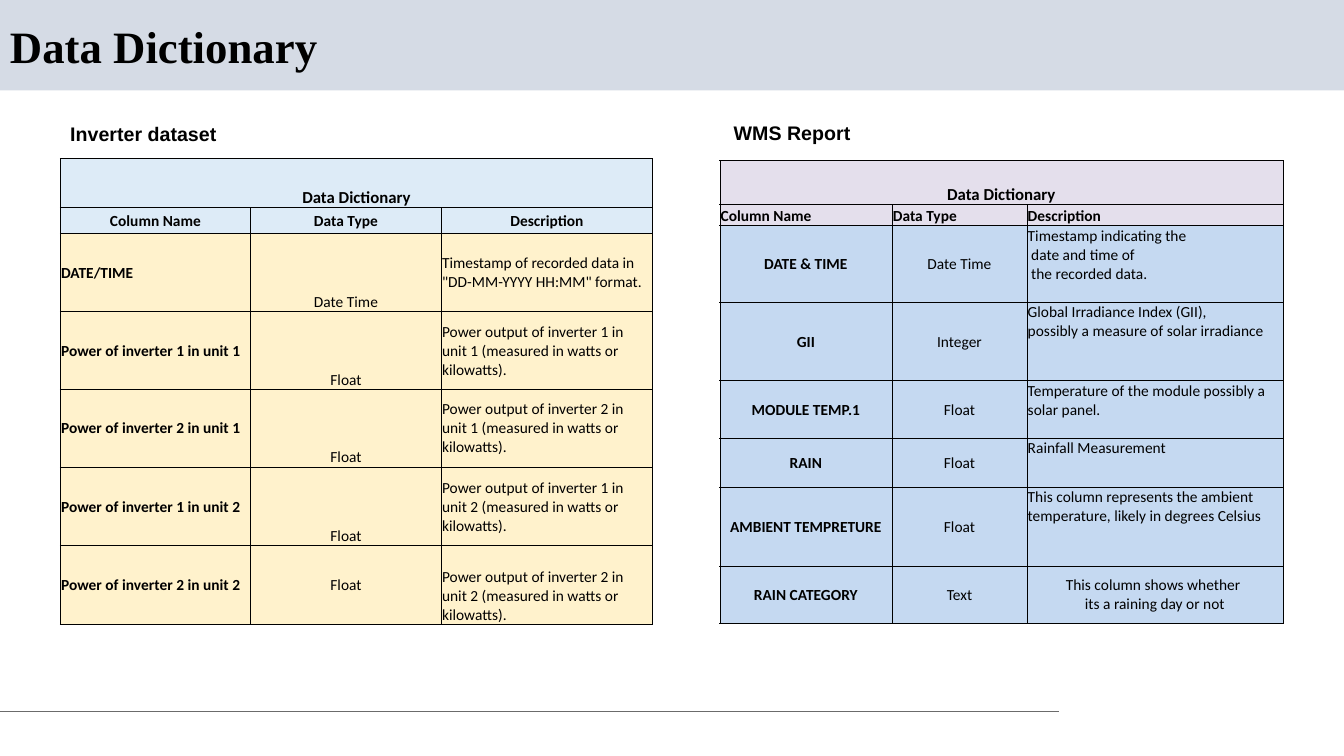
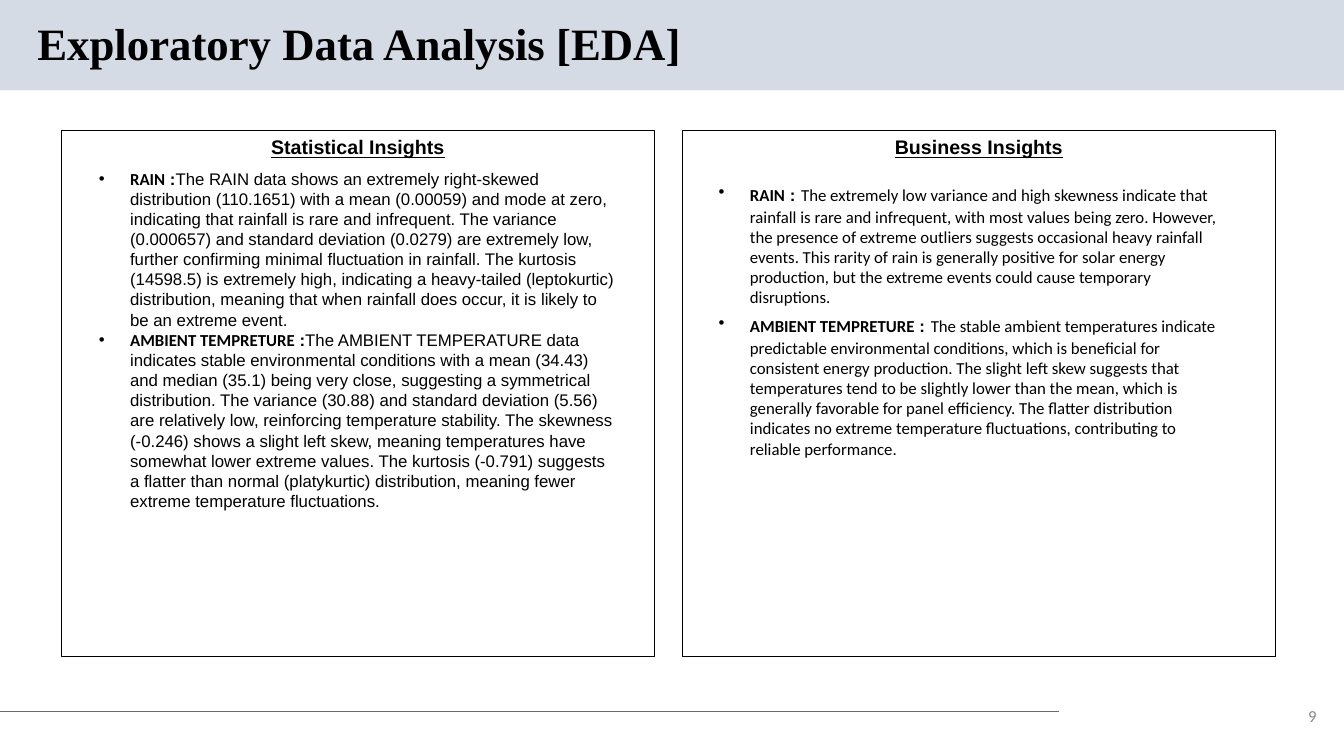
from lxml.etree import SubElement
from pptx import Presentation
from pptx.dml.color import RGBColor
from pptx.enum.shapes import MSO_CONNECTOR, MSO_SHAPE
from pptx.enum.text import MSO_ANCHOR, PP_ALIGN
from pptx.oxml.ns import qn
from pptx.util import Cm, Pt

SANS, SERIF, BODY = "Arial", "Times New Roman", "Calibri"
BLACK, GREY, BAND, RULE = "000000", "888888", "D5DBE5", "6B6B6B"
LEFT, CENTER, RIGHT = PP_ALIGN.LEFT, PP_ALIGN.CENTER, PP_ALIGN.RIGHT
TOP, MIDDLE, BOTTOM = MSO_ANCHOR.TOP, MSO_ANCHOR.MIDDLE, MSO_ANCHOR.BOTTOM
WIDTH, HEIGHT = 33.87, 19.05


def rgb(value):
    return RGBColor.from_string(value)


class Deck:
    """Shared style and the slide being filled; all lengths are in cm."""

    def __init__(self):
        self.prs = Presentation()
        self.prs.slide_width, self.prs.slide_height = Cm(WIDTH), Cm(HEIGHT)
        self.slide = None

    def new_slide(self, title, left, top, width):
        layout = self.prs.slide_layouts.get_by_name("Title Only")
        self.slide = self.prs.slides.add_slide(layout)
        heading = self.slide.shapes.title
        # Band and footer rule go behind the title
        band = self.box(0, 0, WIDTH, 2.28, fill=BAND)
        rule = self.slide.shapes.add_connector(
            MSO_CONNECTOR.STRAIGHT, 0, Cm(17.93), Cm(26.7), Cm(17.93))
        rule.line.color.rgb, rule.line.width = rgb(RULE), Pt(0.75)
        SubElement(rule._element.spPr, qn("a:effectLst"))
        for part in (rule, band):
            self.slide.shapes._spTree.insert(2, part._element)
        heading.left, heading.top = Cm(left), Cm(top)
        heading.width, heading.height = Cm(width), Cm(1.5)
        self.margins(heading.text_frame, 0.25, 0.13)
        heading.text_frame.vertical_anchor = MIDDLE
        paragraph = heading.text_frame.paragraphs[0]
        paragraph.alignment, paragraph.line_spacing = LEFT, 0.9
        self.run(paragraph, title, 32, SERIF, bold=True)

    def margins(self, frame, side, end):
        frame.word_wrap = True
        frame.margin_left = frame.margin_right = Cm(side)
        frame.margin_top = frame.margin_bottom = Cm(end)

    def run(self, paragraph, text, size, font, bold=False, color=BLACK, underline=False):
        for number, line in enumerate(text.split("\n")):
            if number:
                paragraph.add_line_break()
            run = paragraph.add_run()
            run.text = line
            run.font.size, run.font.name, run.font.bold = Pt(size), font, bold
            run.font.color.rgb = rgb(color)
            if underline:
                run.font.underline = True

    def box(self, left, top, width, height, fill=None, line=None):
        shape = self.slide.shapes.add_shape(
            MSO_SHAPE.RECTANGLE, Cm(left), Cm(top), Cm(width), Cm(height))
        shape.shadow.inherit = False
        if fill:
            shape.fill.solid()
            shape.fill.fore_color.rgb = rgb(fill)
        else:
            shape.fill.background()
        if line:
            shape.line.color.rgb, shape.line.width = rgb(line), Pt(0.75)
        else:
            shape.line.fill.background()
        return shape

    def text_frame(self, left, top, width, height, end=0.13):
        frame = self.slide.shapes.add_textbox(
            Cm(left), Cm(top), Cm(width), Cm(height)).text_frame
        self.margins(frame, 0.25, end)
        return frame

    def label(self, text, left, top, width, align=LEFT, underline=False):
        paragraph = self.text_frame(left, top, width, 0.86).paragraphs[0]
        paragraph.alignment = align
        self.run(paragraph, text, 14, SANS, bold=True, underline=underline)

    def page_number(self, text):
        frame = self.text_frame(32.33, 17.63, 1.1, 0.81)
        frame.vertical_anchor = MIDDLE
        frame.paragraphs[0].alignment = RIGHT
        self.run(frame.paragraphs[0], text, 12, BODY, color=GREY)

    def bullets(self, items, left, top, width, height):
        """Each item is a list of (text, size, font, bold) runs."""
        frame = self.text_frame(left, top, width, height, end=0.25)
        for number, item in enumerate(items):
            paragraph = frame.add_paragraph() if number else frame.paragraphs[0]
            properties = paragraph._p.get_or_add_pPr()
            properties.set("marL", str(Cm(0.79)))
            properties.set("indent", str(-Cm(0.79)))
            color = SubElement(properties, qn("a:buClr"))
            SubElement(color, qn("a:srgbClr"), val=BLACK)
            SubElement(properties, qn("a:buFont"), typeface=SANS)
            SubElement(properties, qn("a:buChar"), char="•")
            for text, size, font, bold in item:
                self.run(paragraph, text, size, font, bold)

    def cell(self, cell, text, fill, layout, size=11, bold=False, last=False):
        align, anchor = layout
        properties = cell._tc.get_or_add_tcPr()
        for side in ("L", "R", "T", "B"):
            width = 1 if last and side == "B" else 0.5
            border = SubElement(properties, qn("a:ln" + side), w=str(Pt(width)))
            solid = SubElement(border, qn("a:solidFill"))
            SubElement(solid, qn("a:srgbClr"), val=BLACK)
        cell.fill.solid()
        cell.fill.fore_color.rgb = rgb(fill)
        cell.margin_left = cell.margin_right = cell.margin_top = Cm(0.02)
        cell.margin_bottom = 0
        cell.vertical_anchor = anchor
        paragraph = cell.text_frame.paragraphs[0]
        paragraph.alignment = align
        if text:
            self.run(paragraph, text, size, BODY, bold)

    def dictionary(self, left, top, widths, heights, fills, head_layout, layouts,
                   last_layouts, fields):
        """Title row, column heads, then one row per field."""
        table = self.slide.shapes.add_table(
            len(heights), len(widths), Cm(left), Cm(top),
            Cm(sum(widths)), Cm(sum(heights))).table
        table.first_row = table.horz_banding = False
        for column, width in zip(table.columns, widths):
            column.width = Cm(width)
        for row, height in zip(table.rows, heights):
            row.height = Cm(height)
        head_fill, field_fill = fills
        table.cell(0, 0).merge(table.cell(0, 2))
        for c, text in enumerate(("Data Dictionary", "", "")):
            self.cell(table.cell(0, c), text, head_fill, (CENTER, BOTTOM), 12, True)
        for c, text in enumerate(("Column Name", "Data Type", "Description")):
            self.cell(table.cell(1, c), text, head_fill, head_layout, bold=True)
        for r, field in enumerate(fields, 2):
            last = r == len(heights) - 1
            for c, text in enumerate(field):
                layout = (last_layouts if last else layouts)[c]
                self.cell(table.cell(r, c), text, field_fill, layout,
                          bold=c == 0, last=last)


def inverter_fields():
    yield ("DATE/TIME", "Date Time",
           'Timestamp of recorded data in "DD-MM-YYYY HH:MM" format.')
    for unit in (1, 2):
        for inverter in (1, 2):
            gap = "\n" if unit == inverter == 2 else ""
            yield (f"Power of inverter {inverter} in unit {unit}", "Float",
                   f"Power output of inverter {inverter} in {gap}unit {unit} "
                   f"(measured in watts or {gap}kilowatts).")


WMS_FIELDS = [
    ("DATE & TIME", "Date Time",
     "Timestamp indicating the\n date and time of\n the recorded data."),
    ("GII", "Integer",
     "Global Irradiance Index (GII),\npossibly a measure of solar irradiance"),
    ("MODULE TEMP.1", "Float", "Temperature of the module possibly a solar panel."),
    ("RAIN", "Float", "Rainfall Measurement"),
    ("AMBIENT TEMPRETURE", "Float",
     "This column represents the ambient temperature, likely in degrees Celsius"),
    ("RAIN CATEGORY", "Text", "This column shows whether \nits a raining day or not"),
]

TOPICS = ("RAIN", "AMBIENT TEMPRETURE")
STATISTICS = (
    "The RAIN data shows an extremely right-skewed distribution (110.1651) with a mean "
    "(0.00059) and mode at zero, indicating that rainfall is rare and infrequent. The "
    "variance (0.000657) and standard deviation (0.0279) are extremely low, further "
    "confirming minimal fluctuation in rainfall. The kurtosis (14598.5) is extremely "
    "high, indicating a heavy-tailed (leptokurtic) distribution, meaning that when "
    "rainfall does occur, it is likely to be an extreme event.",
    "The AMBIENT TEMPERATURE data indicates stable environmental conditions with a mean "
    "(34.43) and median (35.1) being very close, suggesting a symmetrical distribution. "
    "The variance (30.88) and standard deviation (5.56) are relatively low, reinforcing "
    "temperature stability. The skewness (-0.246) shows a slight left skew, meaning "
    "temperatures have somewhat lower extreme values. The kurtosis (-0.791) suggests a "
    "flatter than normal (platykurtic) distribution, meaning fewer extreme temperature "
    "fluctuations.",
)
BUSINESS = (
    "The extremely low variance and high skewness indicate that rainfall is rare and "
    "infrequent, with most values being zero. However, the presence of extreme outliers "
    "suggests occasional heavy rainfall events. This rarity of rain is generally "
    "positive for solar energy production, but the extreme events could cause temporary "
    "disruptions.",
    "The stable ambient temperatures indicate predictable environmental conditions, "
    "which is beneficial for consistent energy production. The slight left skew suggests "
    "that temperatures tend to be slightly lower than the mean, which is generally "
    "favorable for panel efficiency. The flatter distribution indicates no extreme "
    "temperature fluctuations, contributing to reliable performance.",
)


def insights(texts, font, spacer=()):
    return [[(topic, 12, BODY, True), (" :", 12, SANS, True), *spacer,
             (text, 12, font, False)] for topic, text in zip(TOPICS, texts)]


def main():
    deck = Deck()

    # Data dictionary of both datasets
    deck.new_slide("Data Dictionary", 0, 0.48, 29.21)
    deck.dictionary(
        1.52, 3.99, (4.8, 4.8, 5.33), (1.24, 0.66, 1.96, 1.96, 1.96, 1.98, 1.98),
        ("DDEBF7", "FFF2CC"), (CENTER, MIDDLE),
        ((LEFT, MIDDLE), (CENTER, BOTTOM), (LEFT, MIDDLE)),
        ((LEFT, MIDDLE), (CENTER, MIDDLE), (LEFT, BOTTOM)), inverter_fields())
    deck.dictionary(
        18.14, 4.04, (4.34, 3.4, 6.45), (1.12, 0.53, 1.92, 1.98, 1.45, 1.24, 1.98, 1.45),
        ("E4DFEC", "C5D9F1"), (LEFT, BOTTOM),
        ((CENTER, MIDDLE), (CENTER, MIDDLE), (LEFT, TOP)),
        ((CENTER, MIDDLE),) * 3, WMS_FIELDS)
    deck.label("Inverter dataset", 1.52, 2.95, 13.59)
    deck.label("WMS Report", 18.24, 2.92, 12.29)

    # Insights in two framed panels
    deck.new_slide("Exploratory Data Analysis [EDA]", 0.69, 0.4, 25.68)
    deck.page_number("9")
    deck.bullets(insights(STATISTICS, SANS), 2.24, 3.99, 13.59, 9.25)
    deck.bullets(insights(BUSINESS, BODY, [(" ", 18, BODY, False)]),
                 17.86, 4.19, 13.06, 7.7)
    for left, heading in ((1.55, "Statistical Insights"), (17.2, "Business Insights")):
        deck.box(left, 3.28, 14.94, 13.26, line=BLACK)
        deck.label(heading, left, 3.28, 14.94, CENTER, underline=True)

    deck.prs.save("out.pptx")


if __name__ == "__main__":
    main()
